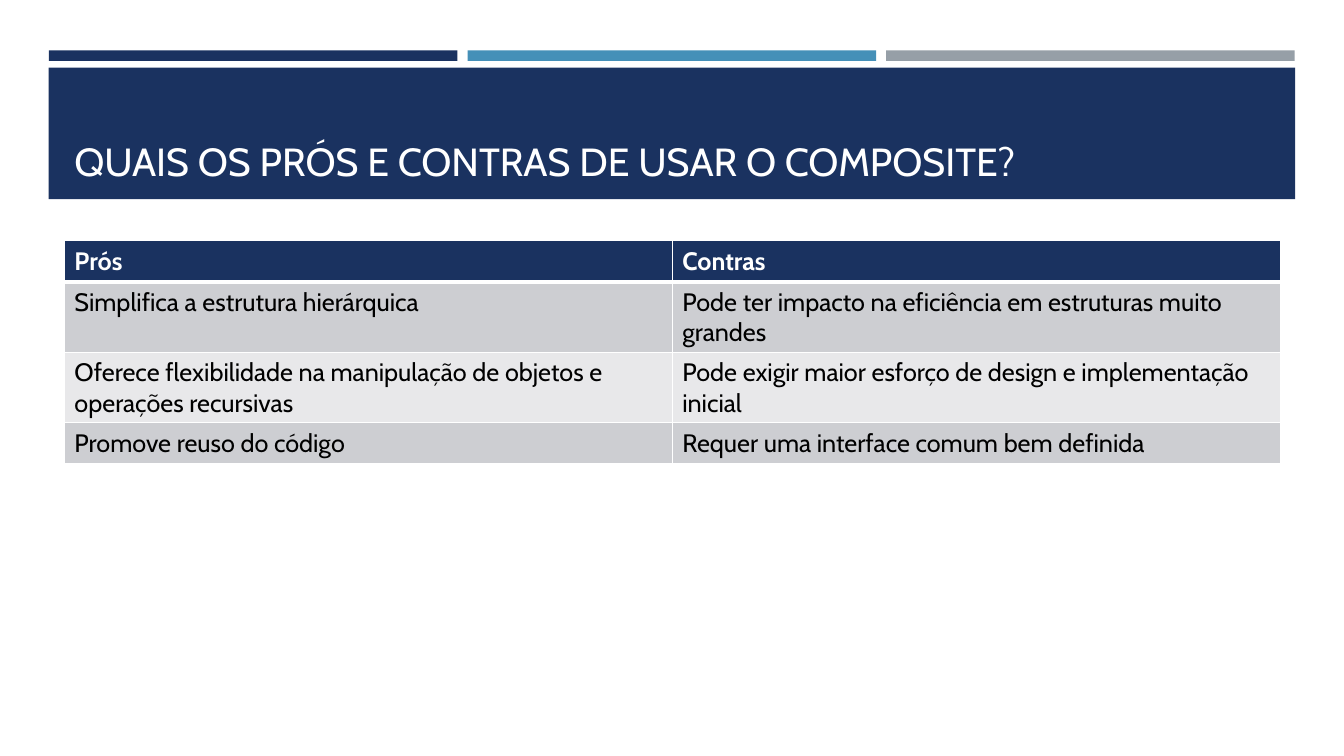
from lxml import etree
from pptx import Presentation
from pptx.dml.color import RGBColor
from pptx.enum.shapes import MSO_SHAPE
from pptx.enum.text import MSO_ANCHOR
from pptx.oxml.ns import qn
from pptx.util import Pt

RECT = MSO_SHAPE.RECTANGLE
TOP, MIDDLE, BOTTOM = MSO_ANCHOR.TOP, MSO_ANCHOR.MIDDLE, MSO_ANCHOR.BOTTOM

NAVY = RGBColor(0x1A, 0x32, 0x60)
BLUE = RGBColor(0x45, 0x90, 0xB8)
GRAY = RGBColor(0x96, 0x9F, 0xA7)
DARK_BAND = RGBColor(0xCD, 0xCE, 0xD2)
LIGHT_BAND = RGBColor(0xE8, 0xE8, 0xEA)
WHITE = RGBColor(0xFF, 0xFF, 0xFF)
BLACK = RGBColor(0, 0, 0)
FONT = "Cabin"

# Content
TITLE = "QUAIS OS PRÓS E CONTRAS DE USAR O COMPOSITE?"
PROS_AND_CONS = [
    ("Prós", "Contras"),
    ("Simplifica a estrutura hierárquica",
     "Pode ter impacto na eficiência em estruturas muito grandes"),
    ("Oferece flexibilidade na manipulação de objetos e operações recursivas",
     "Pode exigir maior esforço de design e implementação inicial"),
    ("Promove reuso do código", "Requer uma interface comum bem definida"),
]
ROW_HEIGHTS = [29.2, 50.4, 50.4, 29.2]
ROW_FILLS = [NAVY, DARK_BAND, LIGHT_BAND, DARK_BAND]
STRIPES = [NAVY, BLUE, GRAY]

# Layout, in points
STRIPE_LEFT, STRIPE_TOP, STRIPE_WIDTH, STRIPE_HEIGHT = 35, 36, 291.8, 7.5
STRIPE_STEP = 299
CONTENT_LEFT, CONTENT_WIDTH = 46, 868.4
TABLE_TOP = 172


def add_block(left, top, width, height, color):
    block = slide.shapes.add_shape(RECT, Pt(left), Pt(top), Pt(width), Pt(height))
    block.shadow.inherit = False
    block.fill.solid()
    block.fill.fore_color.rgb = color
    block.line.fill.background()


def write(frame, text, size, color, bold=False):
    frame.text = text
    font = frame.paragraphs[0].runs[0].font
    font.name, font.size, font.bold = FONT, Pt(size), bold
    font.color.rgb = color


def set_borders(cell, bottom_width, top_width):
    """Draw white borders; they go ahead of the fill in the cell properties."""
    properties = cell._tc.get_or_add_tcPr()
    sides = [("a:lnL", 1), ("a:lnR", 1), ("a:lnT", top_width), ("a:lnB", bottom_width)]
    for position, (tag, width) in enumerate(sides):
        border = etree.Element(qn(tag), w=str(Pt(width)))
        fill = etree.SubElement(border, qn("a:solidFill"))
        etree.SubElement(fill, qn("a:srgbClr"), val=str(WHITE))
        properties.insert(position, border)


presentation = Presentation()
presentation.slide_width, presentation.slide_height = Pt(960), Pt(540)
slide = presentation.slides.add_slide(presentation.slide_layouts[6])

# Stripes and title band
for index, color in enumerate(STRIPES):
    add_block(STRIPE_LEFT + index * STRIPE_STEP, STRIPE_TOP,
              STRIPE_WIDTH, STRIPE_HEIGHT, color)
add_block(34.8, 48.4, 890.4, 93.8, NAVY)

# Title
title = slide.shapes.add_textbox(
    Pt(CONTENT_LEFT), Pt(55.4), Pt(CONTENT_WIDTH), Pt(80)).text_frame
title.word_wrap = True
title.vertical_anchor = BOTTOM
write(title, TITLE, 28, WHITE)

# Table of pros and cons
table = slide.shapes.add_table(
    len(PROS_AND_CONS), 2, Pt(CONTENT_LEFT), Pt(TABLE_TOP),
    Pt(CONTENT_WIDTH), Pt(sum(ROW_HEIGHTS))).table
for row, texts in enumerate(PROS_AND_CONS):
    table.rows[row].height = Pt(ROW_HEIGHTS[row])
    header = row == 0
    for column, text in enumerate(texts):
        cell = table.cell(row, column)
        write(cell.text_frame, text, 18, WHITE if header else BLACK, header)
        cell.vertical_anchor = MIDDLE if header else TOP
        cell.fill.solid()
        cell.fill.fore_color.rgb = ROW_FILLS[row]
        set_borders(cell, 3 if header else 1, 3 if row == 1 else 1)
table.cell(len(PROS_AND_CONS) - 1, 1).vertical_anchor = MIDDLE

presentation.save("out.pptx")
